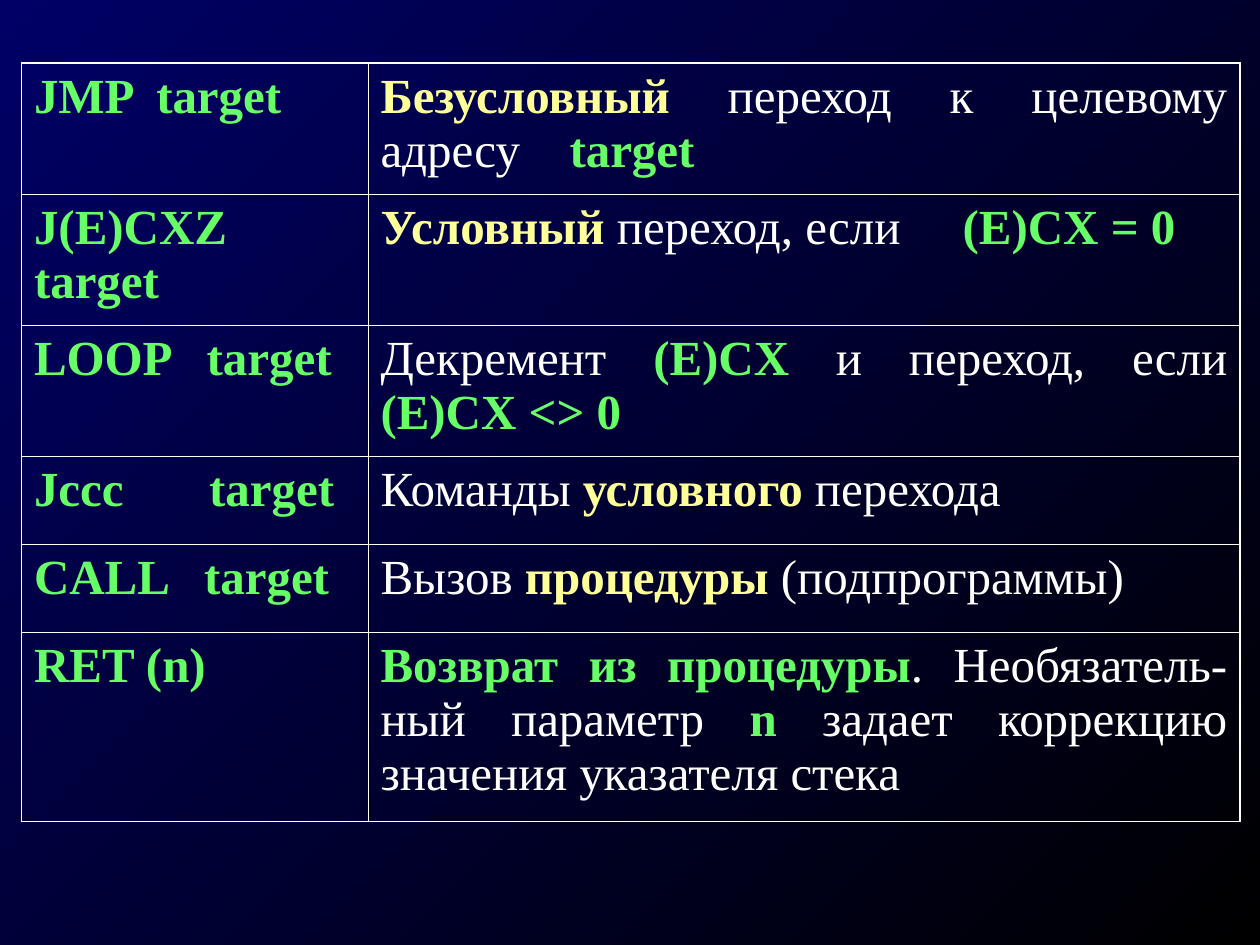
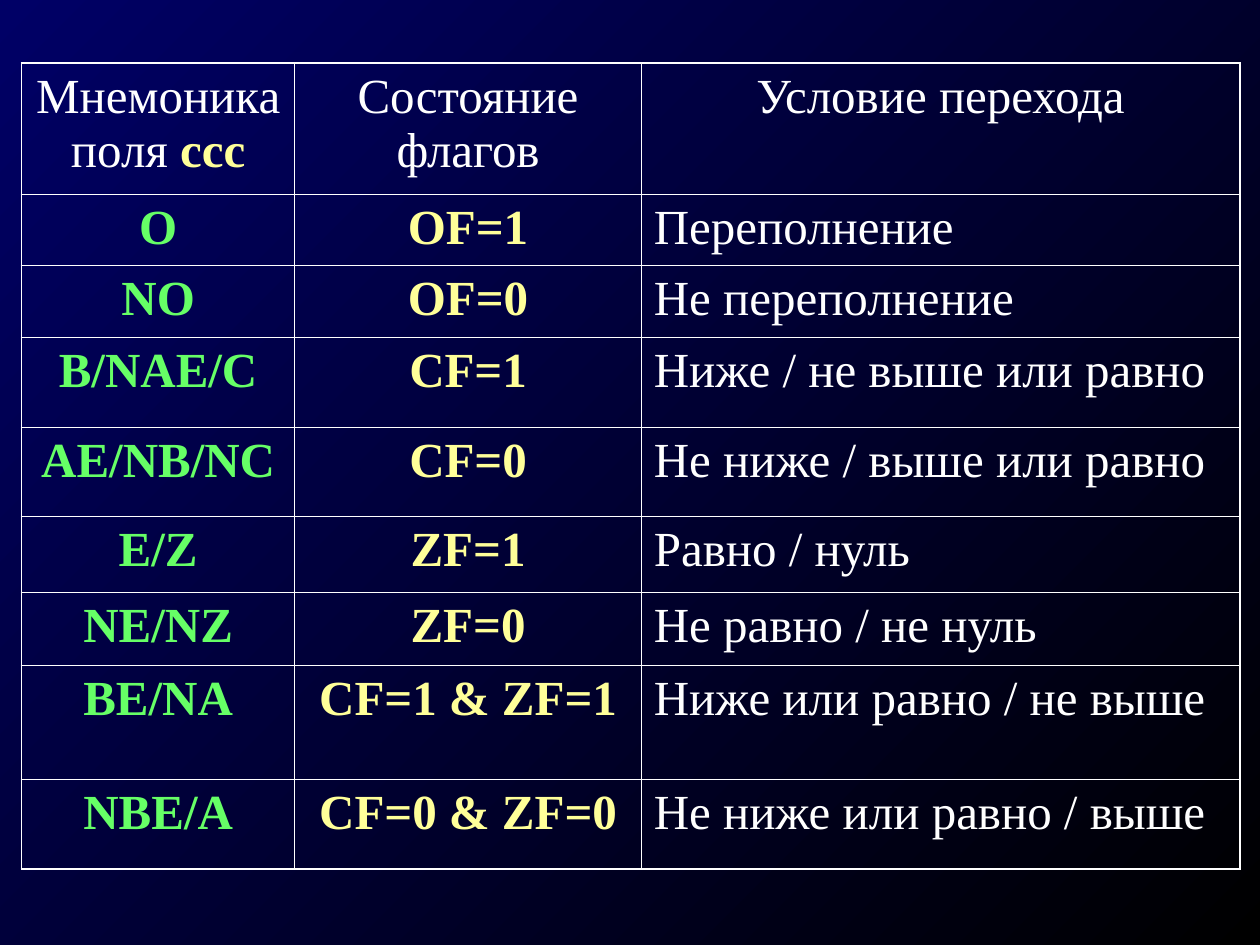
from dataclasses import dataclass
from typing import NamedTuple, Optional

from lxml.etree import SubElement
from pptx import Presentation
from pptx.dml.color import RGBColor
from pptx.enum.text import PP_ALIGN as Align
from pptx.oxml import parse_xml
from pptx.oxml.ns import nsdecls, qn
from pptx.util import Inches, Pt

FONT = "Times New Roman"
FONT_SIZE = 28
WHITE, GREEN, YELLOW = "FFFFFF", "66FF66", "FFFF99"
NAVY, BLACK = "000066", "000000"
TABLE_LEFT, TABLE_TOP = 0.17, 0.5
OUTER_LINE, INNER_LINE = 1.08, 0.45


class Span(NamedTuple):
    text: str
    color: str = WHITE
    bold: bool = False


@dataclass
class CellText:
    spans: list[Span]
    align: Optional[Align] = None
    tab_stop: Optional[float] = None


@dataclass
class Grid:
    columns: list[float]
    rows: list[float]
    cells: list[list[CellText]]


def rgb(color: str) -> RGBColor:
    return RGBColor.from_string(color)


def green(text: str) -> Span:
    return Span(text, GREEN, True)


def yellow(text: str) -> Span:
    return Span(text, YELLOW, True)


def justified(*spans: Span, tab_stop: Optional[float] = None) -> CellText:
    return CellText(list(spans), Align.JUSTIFY, tab_stop)


def centered(*spans: Span) -> CellText:
    return CellText(list(spans), Align.CENTER)


def flag_row(mnemonic: str, flags: str, condition: str) -> list[CellText]:
    return [centered(green(mnemonic)), centered(yellow(flags)), CellText([Span(condition)])]


JUMP_COMMANDS = Grid(
    columns=[2.75, 6.92],
    rows=[1.04] * 3 + [0.7] * 2 + [1.5],
    cells=[
        [justified(green("JMP\ttarget"), tab_stop=0.97),
         justified(yellow("Безусловный"), Span(" переход к целевому адресу\t"),
                   green("target"), tab_stop=1.5)],
        [justified(green("J(E)CXZ target")),
         justified(yellow("Условный"), Span(" переход, если\t"),
                   green("(E)CX = 0"), tab_stop=4.62)],
        [justified(green("LOOP\ttarget"), tab_stop=1.37),
         justified(Span("Декремент "), green("(E)CX"), Span(" и переход, если "),
                   green("(E)CX <> 0"))],
        [justified(green("Jccc\ttarget"), tab_stop=1.39),
         justified(Span("Команды "), yellow("условного"), Span(" перехода"))],
        [justified(green("CALL\ttarget"), tab_stop=1.35),
         justified(Span("Вызов "), yellow("процедуры "), Span("(подпрограммы)"))],
        [justified(green("RET (n)")),
         justified(green("Возврат из процедуры"), Span(". Необязатель-ный параметр "),
                   green("n"), Span(" задает коррекцию значения указателя стека"))],
    ],
)

FLAG_CONDITIONS = Grid(
    columns=[2.17, 2.75, 4.75],
    rows=[1.04, 0.57, 0.57, 0.71, 0.71, 0.6, 0.58, 0.91, 0.71],
    cells=[
        [centered(Span("Мнемоника поля "), yellow("ссс")),
         centered(Span("Состояние флагов")),
         centered(Span("Условие перехода"))],
        flag_row("O", "OF=1", "Переполнение"),
        flag_row("NO", "OF=0", "Не переполнение"),
        flag_row("B/NAE/C", "CF=1", "Ниже / не выше или равно"),
        flag_row("AE/NB/NC", "CF=0", "Не ниже / выше или равно"),
        flag_row("E/Z", "ZF=1", "Равно / нуль"),
        flag_row("NE/NZ", "ZF=0", "Не равно / не нуль"),
        flag_row("BE/NA", "CF=1 & ZF=1", "Ниже или равно / не выше"),
        flag_row("NBE/A", "CF=0 & ZF=0", "Не ниже или равно / выше"),
    ],
)


def set_background(deck) -> None:
    fill = deck.slide_master.background.fill
    fill.gradient()
    fill.gradient_angle = 315
    for stop, color in zip(fill.gradient_stops, (NAVY, BLACK)):
        stop.color.rgb = rgb(color)


def write_text(cell, content: CellText) -> None:
    para = cell.text_frame.paragraphs[0]
    para.alignment = content.align
    para.space_before = Pt(7)
    if content.tab_stop is not None:
        tabs = SubElement(para._p.get_or_add_pPr(), qn("a:tabLst"))
        SubElement(tabs, qn("a:tab"), pos=str(Inches(content.tab_stop)), algn="l")
    for span in content.spans:
        run = para.add_run()
        run.text = span.text
        run.font.name = FONT
        run.font.size = Pt(FONT_SIZE)
        run.font.bold = span.bold
        run.font.color.rgb = rgb(span.color)


def set_borders(cell, outer_sides: dict[str, bool]) -> None:
    properties = cell._tc.get_or_add_tcPr()
    for index, (side, outer) in enumerate(outer_sides.items()):
        width = Pt(OUTER_LINE if outer else INNER_LINE)
        properties.insert(index, parse_xml(
            f'<a:ln{side} {nsdecls("a")} w="{width}"><a:solidFill>'
            f'<a:srgbClr val="{WHITE}"/></a:solidFill></a:ln{side}>'))


def add_grid_page(deck, grid: Grid) -> None:
    page = deck.slides.add_slide(deck.slide_layouts[6])
    row_count, column_count = len(grid.rows), len(grid.columns)
    table = page.shapes.add_table(
        row_count, column_count, Inches(TABLE_LEFT), Inches(TABLE_TOP),
        Inches(sum(grid.columns)), Inches(sum(grid.rows))).table
    table.first_row = False
    table.horz_banding = False
    for column, width in zip(table.columns, grid.columns):
        column.width = Inches(width)
    for row, height in zip(table.rows, grid.rows):
        row.height = Inches(height)
    for row_index, contents in enumerate(grid.cells):
        for column_index, content in enumerate(contents):
            cell = table.cell(row_index, column_index)
            cell.fill.background()
            write_text(cell, content)
            set_borders(cell, {
                "L": column_index == 0,
                "R": column_index == column_count - 1,
                "T": row_index == 0,
                "B": row_index == row_count - 1,
            })


def main() -> None:
    deck = Presentation()
    deck.slide_width, deck.slide_height = Inches(10), Inches(7.5)
    set_background(deck)
    for grid in (JUMP_COMMANDS, FLAG_CONDITIONS):
        add_grid_page(deck, grid)
    deck.save("out.pptx")


if __name__ == "__main__":
    main()
